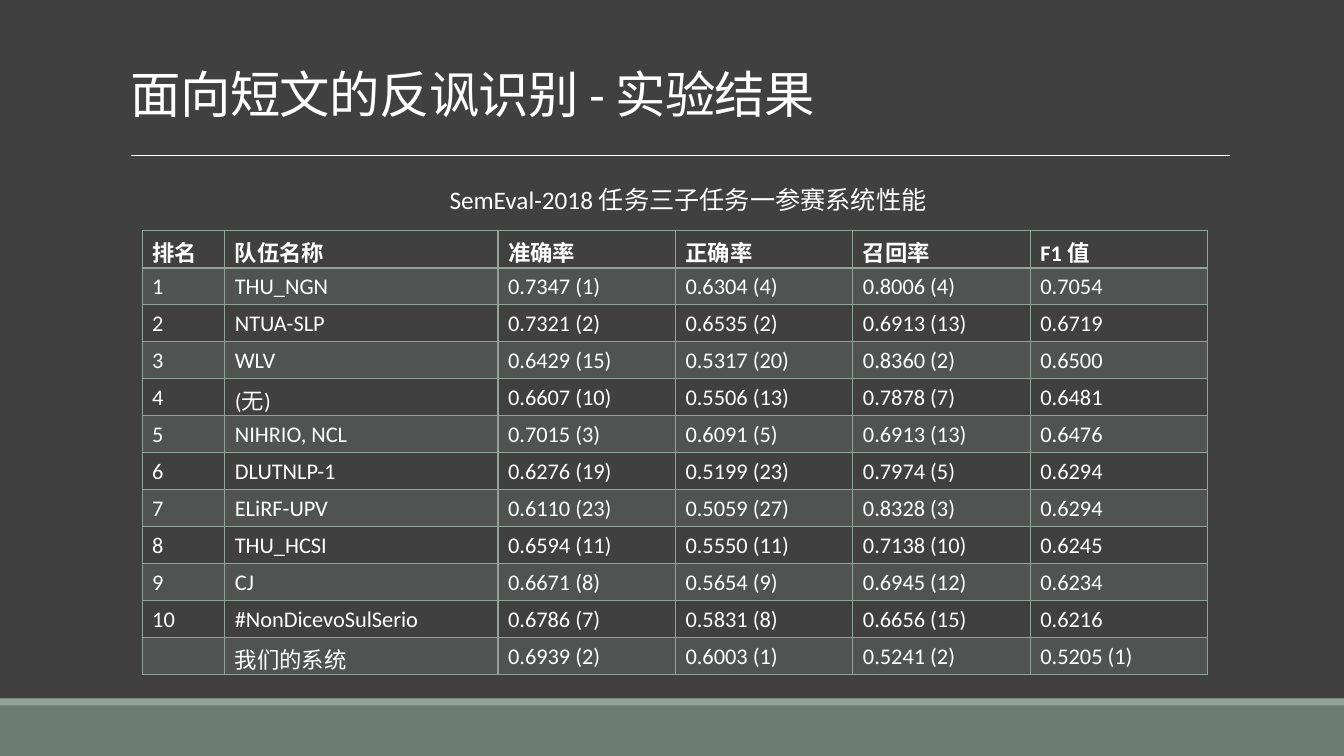
import pptx
import pptx.dml.color
import pptx.enum.shapes
import pptx.enum.text
import pptx.oxml
import pptx.oxml.ns
import pptx.util
from lxml import etree

Inches = pptx.util.Inches
Pt = pptx.util.Pt

LATIN_FONT = "Calibri"
CHINESE_FONT = "Noto Sans CJK SC"
BACKGROUND = "404040"
WHITE = "FFFFFF"
SAGE = "93A299"
DARK_SAGE = "6B7D72"

SLIDE_WIDTH = 13.33
SLIDE_HEIGHT = 7.5
COLUMN_WIDTHS = [0.82, 2.71] + [1.76] * 4
ROW_HEIGHT = 4.4 / 12

RESULTS = [
    ["排名", "队伍名称", "准确率", "正确率", "召回率", "F1 值"],
    ["1", "THU_NGN", "0.7347 (1)", "0.6304 (4)", "0.8006 (4)", "0.7054"],
    ["2", "NTUA-SLP", "0.7321 (2)", "0.6535 (2)", "0.6913 (13)", "0.6719"],
    ["3", "WLV", "0.6429 (15)", "0.5317 (20)", "0.8360 (2)", "0.6500"],
    ["4", "(无)", "0.6607 (10)", "0.5506 (13)", "0.7878 (7)", "0.6481"],
    ["5", "NIHRIO, NCL", "0.7015 (3)", "0.6091 (5)", "0.6913 (13)", "0.6476"],
    ["6", "DLUTNLP-1", "0.6276 (19)", "0.5199 (23)", "0.7974 (5)", "0.6294"],
    ["7", "ELiRF-UPV", "0.6110 (23)", "0.5059 (27)", "0.8328 (3)", "0.6294"],
    ["8", "THU_HCSI", "0.6594 (11)", "0.5550 (11)", "0.7138 (10)", "0.6245"],
    ["9", "CJ", "0.6671 (8)", "0.5654 (9)", "0.6945 (12)", "0.6234"],
    ["10", "#NonDicevoSulSerio", "0.6786 (7)", "0.5831 (8)", "0.6656 (15)", "0.6216"],
    ["", "我们的系统", "0.6939 (2)", "0.6003 (1)", "0.5241 (2)", "0.5205 (1)"],
]


def color(hex_string):
    return pptx.dml.color.RGBColor.from_string(hex_string)


def add_element(parent, tag, **attributes):
    return etree.SubElement(parent, pptx.oxml.ns.qn(tag), **attributes)


def style_paragraph(para, size, bold=False):
    """Set white text with one font for Latin and one for Chinese; return its properties."""
    font = para.font
    font.size = Pt(size)
    font.bold = bold
    font.color.rgb = color(WHITE)
    font.name = LATIN_FONT
    properties = para._p.pPr.find(pptx.oxml.ns.qn("a:defRPr"))
    add_element(properties, "a:ea", typeface=CHINESE_FONT)
    return properties


def add_bar(page, left, top, width, height, fill):
    bar = page.shapes.add_shape(
        pptx.enum.shapes.MSO_SHAPE.RECTANGLE,
        Inches(left), Inches(top), Inches(width), Inches(height))
    bar.shadow.inherit = False
    bar.fill.solid()
    bar.fill.fore_color.rgb = color(fill)
    bar.line.fill.background()


def add_footer(page, left, top, width, height):
    """Draw the wide band with its thin lighter strip on top."""
    strip = 0.07
    add_bar(page, left, top + strip, width, height - strip, DARK_SAGE)
    add_bar(page, left, top, width, strip, SAGE)


def add_title(page, left, top, width, height):
    """Place the title at the bottom of its box, with the rule below."""
    rule_left, rule_top = left + 0.1, top + height + 0.26
    rule = page.shapes.add_connector(
        pptx.enum.shapes.MSO_CONNECTOR.STRAIGHT,
        Inches(rule_left), Inches(rule_top),
        Inches(rule_left + 10.9), Inches(rule_top))
    rule.line.color.rgb = color(WHITE)
    rule.line.width = Pt(0.5)
    add_element(rule._element.spPr, "a:effectLst")

    box = page.shapes.add_textbox(
        Inches(left), Inches(top), Inches(width), Inches(height))
    frame = box.text_frame
    frame.word_wrap = True
    frame.vertical_anchor = pptx.enum.text.MSO_ANCHOR.BOTTOM
    para = frame.paragraphs[0]
    para.text = "面向短文的反讽识别 - 实验结果"
    para.line_spacing = 0.85
    style_paragraph(para, 36).set("spc", "-50")


def add_caption(page, left, top, width, height):
    box = page.shapes.add_textbox(
        Inches(left), Inches(top), Inches(width), Inches(height))
    frame = box.text_frame
    frame.word_wrap = False
    frame.auto_size = pptx.enum.text.MSO_AUTO_SIZE.SHAPE_TO_FIT_TEXT
    para = frame.paragraphs[0]
    para.text = "SemEval-2018 任务三子任务一参赛系统性能"
    style_paragraph(para, 18)


def set_borders(cell, top, bottom):
    """Draw all four sides; top and bottom are widths in points."""
    properties = cell._tc.get_or_add_tcPr()
    for side, width in (("L", 1), ("R", 1), ("T", top), ("B", bottom)):
        line = add_element(properties, "a:ln" + side, w=str(Pt(width)))
        fill = add_element(line, "a:solidFill")
        add_element(fill, "a:srgbClr", val=SAGE)


def shade_cell(cell):
    cell.fill.solid()
    cell.fill.fore_color.rgb = color(SAGE)
    shade = cell._tc.tcPr.find(pptx.oxml.ns.qn("a:solidFill"))
    add_element(shade[0], "a:alpha", val="20000")


def add_results(page, left, top):
    table = page.shapes.add_table(
        len(RESULTS), len(COLUMN_WIDTHS), Inches(left), Inches(top),
        Inches(sum(COLUMN_WIDTHS)), Inches(ROW_HEIGHT * len(RESULTS))).table
    table.first_row = False
    table.horz_banding = False
    for column, width in zip(table.columns, COLUMN_WIDTHS):
        column.width = Inches(width)
    for row_number, values in enumerate(RESULTS):
        table.rows[row_number].height = Inches(ROW_HEIGHT)
        is_header = row_number == 0
        for column_number, value in enumerate(values):
            cell = table.cell(row_number, column_number)
            para = cell.text_frame.paragraphs[0]
            para.text = value
            style_paragraph(para, 16, bold=is_header)
            set_borders(cell, top=2 if row_number == 1 else 1,
                        bottom=2 if is_header else 1)
            if row_number % 2:
                shade_cell(cell)
            else:
                cell.fill.background()


def add_results_page(deck):
    page = deck.slides.add_slide(deck.slide_layouts[6])
    page.background.fill.solid()
    page.background.fill.fore_color.rgb = color(BACKGROUND)
    add_footer(page, 0, 6.93, SLIDE_WIDTH, SLIDE_HEIGHT - 6.93)
    add_title(page, 1.2, -0.31, 11, 1.59)
    add_results(page, 1.41, 2.29)
    add_caption(page, 4.36, 1.78, 5.12, 0.4)


def main():
    deck = pptx.Presentation()
    deck.slide_width = Inches(SLIDE_WIDTH)
    deck.slide_height = Inches(SLIDE_HEIGHT)
    add_results_page(deck)
    deck.save("out.pptx")


if __name__ == "__main__":
    main()
